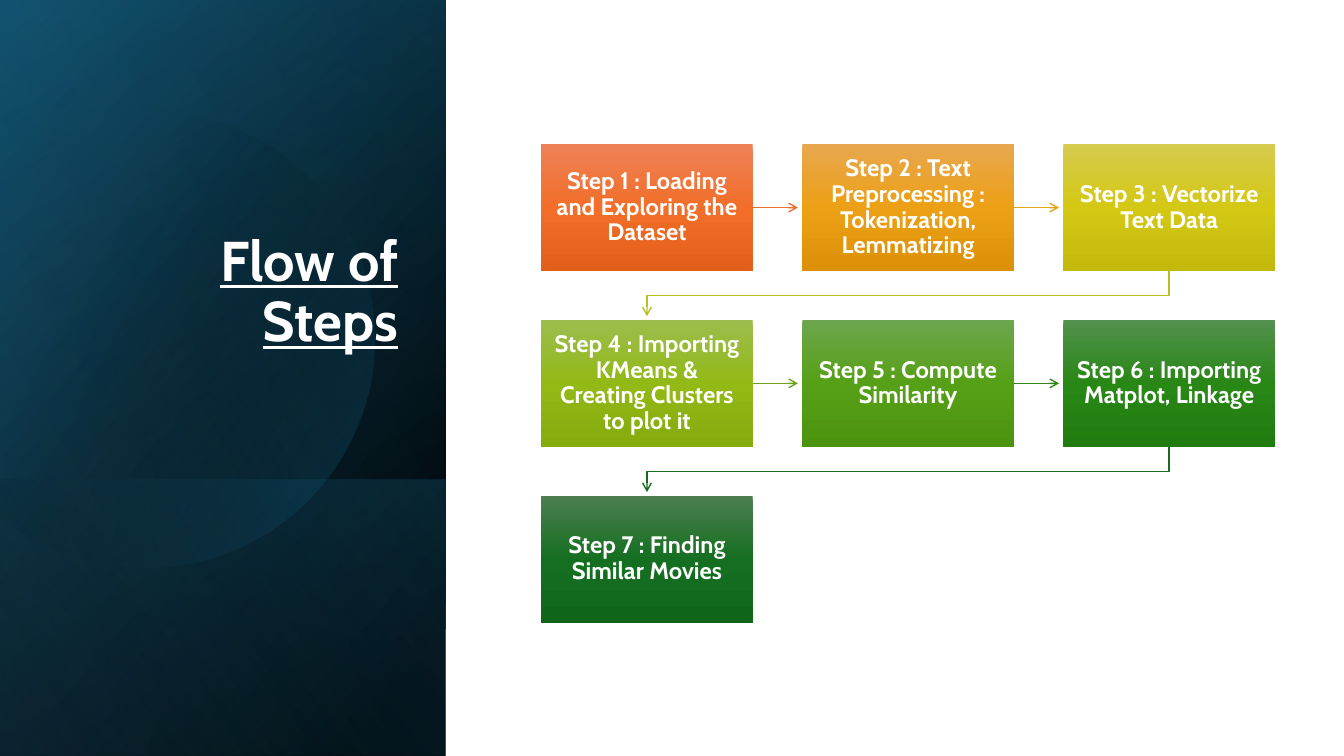
import math
from dataclasses import dataclass

from lxml import etree
from pptx import Presentation
from pptx import util as u
from pptx.dml.color import RGBColor
from pptx.enum import shapes, text
from pptx.oxml.ns import qn


@dataclass(frozen=True)
class Theme:
    font: str = "Cabin"
    title_size: int = 40
    step_size: int = 17
    white: str = "FFFFFF"
    panel_layers: tuple = (
        (50, ((8, "000000", 100), (100, "104862", 100))),
        (30, ((0, "000000", 0), (99, "156082", 46))),
    )
    band: tuple = (130, ((2, "156082", 29), (100, "000000", 30)))
    disc: tuple = (30, ((29, "000000", 0), (100, "156082", 43)))
    glaze: tuple = (120, ((0, "000000", 0), (99, "46B1E1", 11)))
    step_fills: tuple = (
        ("ED8257", "F26E29", "E25F1A"),
        ("E8A74F", "ECA015", "DD9108"),
        ("D5CB4E", "D4C815", "C4B90B"),
        ("9CBD4E", "92B916", "85AB0D"),
        ("6DA64E", "56A017", "4C930F"),
        ("53914E", "298716", "217C0F"),
        ("4D7E50", "156F21", "0F661B"),
    )
    arrows: tuple = ("E97132", "E0A61D", "B7C11E", "6BA31D", "34861C", "196B24")


@dataclass(frozen=True)
class Box:
    left: int
    top: int
    width: int
    height: int


THEME = Theme()
STEPS = (
    "Step 1 : Loading and Exploring the Dataset",
    "Step 2 : Text Preprocessing : Tokenization, Lemmatizing",
    "Step 3 : Vectorize Text Data",
    "Step 4 : Importing KMeans & Creating Clusters to plot it",
    "Step 5 : Compute Similarity",
    "Step 6 : Importing Matplot, Linkage",
    "Step 7 : Finding Similar Movies",
)


def fill_gradient(shape, angle, stops):
    shape.shadow.inherit = False
    shape.line.fill.background()
    shape.fill.background()
    properties = shape._element.spPr
    gradient = etree.Element(qn("a:gradFill"), rotWithShape="1")
    stop_list = etree.SubElement(gradient, qn("a:gsLst"))
    for position, color, opacity in stops:
        stop = etree.SubElement(stop_list, qn("a:gs"), pos=str(position * 1000))
        tone = etree.SubElement(stop, qn("a:srgbClr"), val=color)
        if opacity < 100:
            etree.SubElement(tone, qn("a:alpha"), val=str(opacity * 1000))
    etree.SubElement(gradient, qn("a:lin"), ang=str(angle * 60000), scaled="0")
    properties.replace(properties.find(qn("a:noFill")), gradient)


def write_text(frame, words, size, align, underline=None):
    frame.word_wrap = True
    para = frame.paragraphs[0]
    para.alignment = align
    para.line_spacing = 0.9
    span = para.add_run()
    span.text = words
    span.font.name = THEME.font
    span.font.size = u.Pt(size)
    span.font.bold = True
    span.font.underline = underline
    span.font.color.rgb = RGBColor.from_string(THEME.white)


def add_turned_layer(page, box, angle, stops):
    shift = (box.width - box.height) // 2
    layer = page.shapes.add_shape(
        shapes.MSO_SHAPE.RECTANGLE,
        box.left + shift, box.top - shift, box.height, box.width,
    )
    layer.rotation = 90
    layer._element.spPr.find(qn("a:xfrm")).set("flipH", "1")
    fill_gradient(layer, angle, stops)


def add_disc(page, box):
    radius = u.Cm(5.77)
    center_x, center_y = box.left + u.Cm(3.66), box.top + u.Cm(8.53)
    limit = math.acos((box.left - center_x) / radius)
    turns = [limit * (step / 60 - 1) for step in range(121)]
    points = [
        (round(center_x + radius * math.cos(turn)),
         round(center_y + radius * math.sin(turn)))
        for turn in turns
    ]
    builder = page.shapes.build_freeform(*points[0], scale=1.0)
    builder.add_line_segments(points[1:], close=True)
    fill_gradient(builder.convert_to_shape(), *THEME.disc)


def add_title_panel(page, box):
    for layer in THEME.panel_layers:
        add_turned_layer(page, box, *layer)
    band_height = u.Cm(6.96)
    band = Box(box.left, box.top + box.height - band_height, box.width, band_height)
    add_turned_layer(page, band, *THEME.band)
    add_disc(page, box)
    add_turned_layer(page, box, *THEME.glaze)

    title = page.shapes.title
    title.left, title.top = box.left + u.Cm(1.7), box.top + u.Cm(2.08)
    title.width, title.height = u.Cm(8.59), u.Cm(6.96)
    title.text_frame.auto_size = text.MSO_AUTO_SIZE.NONE
    title.text_frame.vertical_anchor = text.MSO_ANCHOR.BOTTOM
    write_text(title.text_frame, "Flow of Steps", THEME.title_size,
               text.PP_ALIGN.RIGHT, underline=True)
    page.shapes._spTree.append(title._element)


def add_step(page, box, words, colors):
    card = page.shapes.add_shape(
        shapes.MSO_SHAPE.RECTANGLE, box.left, box.top, box.width, box.height
    )
    fill_gradient(card, 90, [(place, color, 100)
                             for place, color in zip((0, 50, 100), colors)])
    frame = card.text_frame
    frame.margin_left = frame.margin_right = u.Cm(0.25)
    frame.margin_top = frame.margin_bottom = u.Cm(0.28)
    frame.vertical_anchor = text.MSO_ANCHOR.MIDDLE
    write_text(frame, words, THEME.step_size, text.PP_ALIGN.CENTER)


def style_arrow(arrow, color):
    arrow.line.color.rgb = RGBColor.from_string(color)
    arrow.line.width = u.Pt(1)
    properties = arrow._element.spPr
    etree.SubElement(properties.find(qn("a:ln")), qn("a:tailEnd"), type="arrow")
    if properties.find(qn("a:effectLst")) is None:
        etree.SubElement(properties, qn("a:effectLst"))


def add_arrow(page, start, end, color):
    length = u.Cm(1.14)
    if start.top == end.top:
        x, y = start.left + start.width, start.top + start.height // 2
        arrow = page.shapes.add_connector(
            shapes.MSO_CONNECTOR.STRAIGHT, x, y, x + length, y
        )
    else:
        x, y = start.left + start.width // 2, start.top + start.height
        target, bend = end.left + end.width // 2, y + u.Cm(0.62)
        builder = page.shapes.build_freeform(x, y, scale=1.0)
        builder.add_line_segments(
            [(x, bend), (target, bend), (target, y + length)], close=False
        )
        arrow = builder.convert_to_shape()
        arrow.fill.background()
        arrow.shadow.inherit = False
    style_arrow(arrow, color)


def add_step_flow(page, box):
    columns, rows = 3, 3
    width, height = u.Cm(5.33), u.Cm(3.2)
    pitch_x = (box.width - width) // (columns - 1)
    pitch_y = (box.height - height) // (rows - 1)
    cells = [
        Box(box.left + index % columns * pitch_x,
            box.top + index // columns * pitch_y, width, height)
        for index in range(len(STEPS))
    ]
    for start, end, color in zip(cells, cells[1:], THEME.arrows):
        add_arrow(page, start, end, color)
    for cell, words, colors in zip(cells, STEPS, THEME.step_fills):
        add_step(page, cell, words, colors)


def main():
    deck = Presentation()
    deck.slide_width, deck.slide_height = u.Cm(33.87), u.Cm(19.05)
    page = deck.slides.add_slide(deck.slide_layouts[5])
    add_title_panel(page, Box(0, 0, u.Cm(11.23), deck.slide_height))
    add_step_flow(page, Box(u.Cm(13.64), u.Cm(3.63), u.Cm(18.49), u.Cm(12.06)))
    deck.save("out.pptx")


if __name__ == "__main__":
    main()
